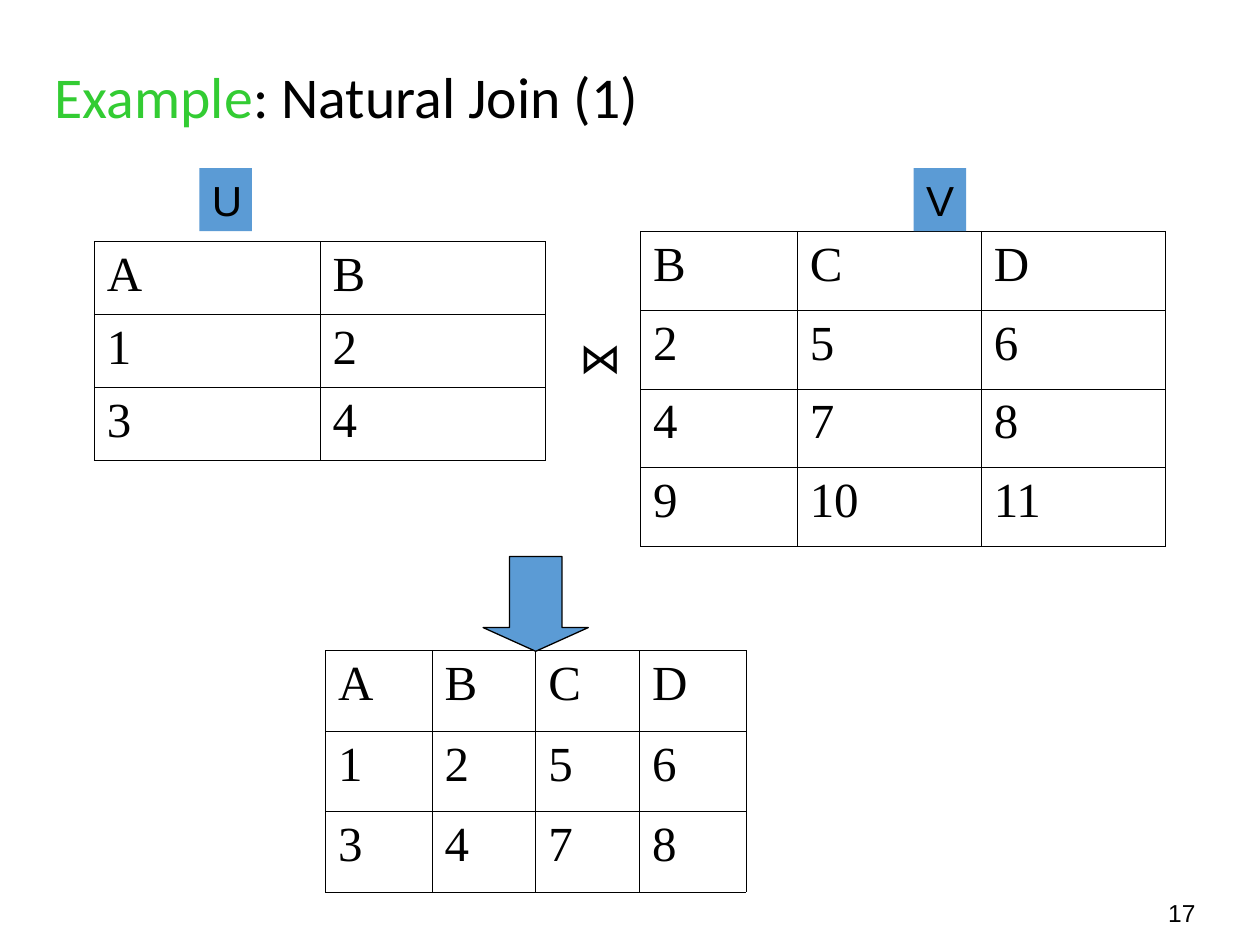
from lxml.etree import SubElement
from pptx import Presentation
from pptx.dml.color import RGBColor
from pptx.enum.shapes import MSO_SHAPE
from pptx.enum.text import MSO_ANCHOR, MSO_AUTO_SIZE, PP_ALIGN
from pptx.oxml.ns import qn
from pptx.util import Cm, Pt

RECT, ARROW = MSO_SHAPE.RECTANGLE, MSO_SHAPE.DOWN_ARROW
LEFT, TOP, MIDDLE = PP_ALIGN.LEFT, MSO_ANCHOR.TOP, MSO_ANCHOR.MIDDLE
FIXED = MSO_AUTO_SIZE.NONE

COLORS = {"ink": "000000", "green": "33CC33", "blue": "5B9BD5"}
FONTS = {
    "title": {"name": "Calibri", "size": Pt(33)},
    "cell": {"name": "Times New Roman", "size": Pt(28)},
    "label": {"name": "Arial", "size": Pt(24)},
    "page": {"name": "Arial", "size": Pt(14)},
}
FRAME = {"word_wrap": True, "auto_size": FIXED, "vertical_anchor": TOP}


def apply(item, values):
    for key, value in values.items():
        setattr(item, key, value)


def color(name):
    return RGBColor.from_string(COLORS[name])


class Deck:
    def __init__(self):
        self.prs = Presentation()
        self.prs.slide_width, self.prs.slide_height = Cm(25.4), Cm(19.05)
        self.slide = self.prs.slides.add_slide(self.prs.slide_layouts[5])
        self.shapes = self.slide.shapes

    def words(self, frame, style, *runs):
        para = frame.paragraphs[0]
        para.alignment = LEFT
        for text, ink in runs:
            run = para.add_run()
            run.text = text
            apply(run.font, FONTS[style])
            run.font.color.rgb = color(ink)
        return para

    def title(self, box, *runs):
        shape = self.shapes.title
        apply(shape, dict(zip(("left", "top", "width", "height"), map(Cm, box))))
        apply(shape.text_frame, {**FRAME, "vertical_anchor": MIDDLE})
        self.words(shape.text_frame, "title", *runs).line_spacing = 0.9

    def text(self, box, style, text, wrap=True):
        frame = self.shapes.add_textbox(*map(Cm, box)).text_frame
        apply(frame, {**FRAME, "word_wrap": wrap})
        self.words(frame, style, (text, "ink"))

    def shape(self, kind, box):
        shape = self.shapes.add_shape(kind, *map(Cm, box))
        shape.shadow.inherit = False
        shape.fill.solid()
        shape.fill.fore_color.rgb = color("blue")
        return shape

    def label(self, box, text):
        shape = self.shape(RECT, box)
        shape.line.fill.background()
        apply(shape.text_frame, FRAME)
        self.words(shape.text_frame, "label", (text, "ink"))

    def arrow(self, box):
        shape = self.shape(ARROW, box)
        shape.adjustments[0], shape.adjustments[1] = 0.5, 0.25
        shape.line.color.rgb = color("ink")
        shape.line.width = Pt(0.75)

    def border(self, cell):
        props = cell._tc.get_or_add_tcPr()
        for side in "LRTB":
            line = SubElement(props, qn(f"a:ln{side}"), w=str(Pt(0.45)))
            fill = SubElement(line, qn("a:solidFill"))
            SubElement(fill, qn("a:srgbClr"), val=COLORS["ink"])

    def table(self, left, top, cols, height, rows):
        box = map(Cm, (left, top, sum(cols), height * len(rows)))
        grid = self.shapes.add_table(len(rows), len(cols), *box).table
        apply(grid, {"first_row": False, "horz_banding": False})
        for col, width in zip(grid.columns, cols):
            col.width = Cm(width)
        for row, line in zip(grid.rows, rows):
            row.height = Cm(height)
            for cell, text in zip(row.cells, line.split()):
                self.border(cell)
                cell.fill.background()
                self.words(cell.text_frame, "cell", (text, "ink"))


def main():
    deck = Deck()
    deck.title((0.85, 0.43, 21.59, 3.18),
               ("Example", "green"), (": Natural Join (1)", "ink"))
    deck.table(1.9, 4.87, [4.55] * 2, 1.47, ["A B", "1 2", "3 4"])
    deck.table(12.91, 4.66, [3.16, 3.71, 3.71], 1.59,
               ["B C D", "2 5 6", "4 7 8", "9 10 11"])
    deck.table(6.56, 13.12, [2.15, 2.09, 2.09, 2.15], 1.62,
               ["A B C D", "1 2 5 6", "3 4 7 8"])
    deck.text((11.43, 6.56, 1.35, 1.27), "label", "⋈", wrap=False)
    deck.arrow((9.74, 11.22, 2.12, 1.91))
    for left, name in ((4.02, "U"), (18.42, "V")):
        deck.label((left, 3.39, 1.06, 1.27), name)
    deck.text((23.3, 17.98, 1.47, 0.86), "page", "17")
    deck.prs.save("out.pptx")


if __name__ == "__main__":
    main()
